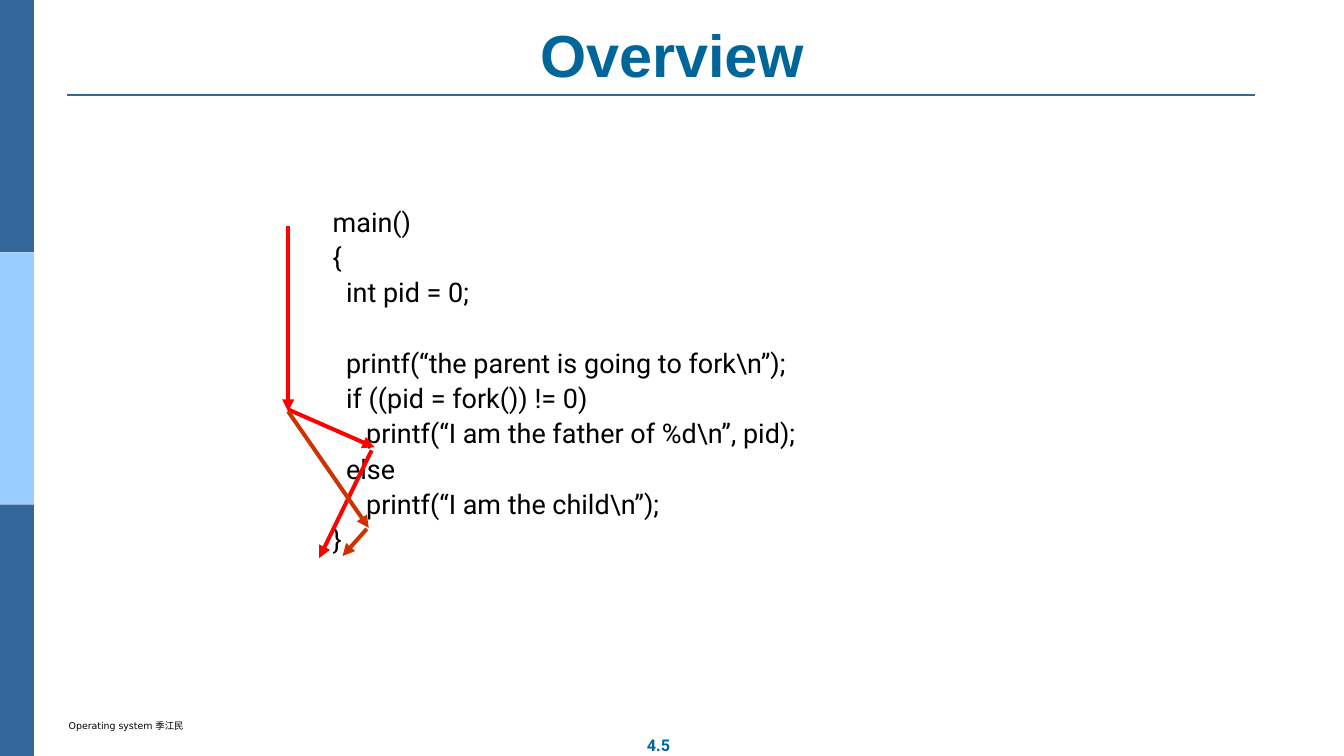
from dataclasses import dataclass

from lxml import etree
from pptx import Presentation
from pptx.dml.color import RGBColor
from pptx.enum.shapes import MSO_CONNECTOR, MSO_SHAPE
from pptx.enum.text import MSO_ANCHOR, PP_ALIGN
from pptx.oxml.ns import qn
from pptx.slide import Slide
from pptx.util import Emu, Pt

RECTANGLE = MSO_SHAPE.RECTANGLE
STRAIGHT = MSO_CONNECTOR.STRAIGHT
LEFT, CENTER = PP_ALIGN.LEFT, PP_ALIGN.CENTER
TOP, BOTTOM = MSO_ANCHOR.TOP, MSO_ANCHOR.BOTTOM
EMU_PER_PX = 9144
SLIDE_WIDTH, SLIDE_HEIGHT = 1385, 779
BAND_WIDTH, BAND_HEIGHT = 35, 260


@dataclass(frozen=True)
class Theme:
    navy: str = "336699"
    sky: str = "99CCFF"
    teal: str = "006699"
    black: str = "000000"
    parent_red: str = "FF0000"
    child_rust: str = "CC3300"
    title_size: float = 44
    code_size: float = 20
    number_size: float = 12
    footer_size: float = 7
    rule_width: float = 1.5
    arrow_width: float = 3
    code_spacing: float = 0.8
    code_gap: float = 7
    code_pitch: float = 26


THEME = Theme()


@dataclass(frozen=True)
class Label:
    lines: tuple[str, ...]
    left: int
    top: int
    width: int
    height: int
    font: str
    size: float
    color: str
    bold: bool = False
    align: PP_ALIGN = LEFT
    anchor: MSO_ANCHOR = TOP
    inset: tuple[int, int] = (10, 5)
    wrap: bool = True
    spacing: float = 1.0
    gap: float = 0
    pitch: float = 0


@dataclass(frozen=True)
class Line:
    start: tuple[int, int]
    end: tuple[int, int]
    color: str
    width: float = THEME.arrow_width
    arrow: bool = True


CODE = (
    "main()",
    "{",
    "  int pid = 0;",
    "",
    "  printf(“the parent is going to fork\\n”);",
    "  if ((pid = fork()) != 0)",
    "     printf(“I am the father of %d\\n”, pid);",
    "  else",
    "     printf(“I am the child\\n”);",
    "}",
)

LABELS = (
    Label(("4.5",), 649, 752, 59, 33, "Roboto", THEME.number_size, THEME.teal,
          bold=True, align=CENTER, inset=(12, 6), wrap=False),
    Label(("Operating system 季江民",), 61, 737, 286, 22, "DejaVu Sans",
          THEME.footer_size, THEME.black),
    Label(("Overview",), 69, 32, 1247, 66, "Arial", THEME.title_size, THEME.teal,
          bold=True, align=CENTER, anchor=BOTTOM, inset=(12, 6)),
    Label(CODE, 333, 213, 518, 393, "Roboto", THEME.code_size, THEME.black,
          spacing=THEME.code_spacing, gap=THEME.code_gap, pitch=THEME.code_pitch),
)

TITLE_RULE = Line((69, 98), (1293, 98), THEME.navy, THEME.rule_width, arrow=False)

FLOW_ARROWS = (
    Line((297, 233), (297, 424), THEME.parent_red),
    Line((297, 422), (386, 461), THEME.parent_red),
    Line((383, 464), (329, 575), THEME.parent_red),
    Line((297, 424), (380, 544), THEME.child_rust),
    Line((378, 545), (353, 573), THEME.child_rust),
)


def px(length: int) -> Emu:
    return Emu(length * EMU_PER_PX)


def draw_bands(page: Slide, colors: tuple[str, ...]) -> None:
    for index, color in enumerate(colors):
        band = page.shapes.add_shape(
            RECTANGLE, px(0), px(index * BAND_HEIGHT), px(BAND_WIDTH), px(BAND_HEIGHT))
        band.shadow.inherit = False
        band.fill.solid()
        band.fill.fore_color.rgb = RGBColor.from_string(color)
        band.line.fill.background()


def draw_line(page: Slide, line: Line) -> None:
    connector = page.shapes.add_connector(
        STRAIGHT, *map(px, line.start), *map(px, line.end))
    connector.line.color.rgb = RGBColor.from_string(line.color)
    connector.line.width = Pt(line.width)
    if line.arrow:
        outline = connector.line._get_or_add_ln()
        etree.SubElement(outline, qn("a:tailEnd"), type="triangle")
    etree.SubElement(connector._element.spPr, qn("a:effectLst"))


def draw_label(page: Slide, label: Label) -> None:
    box = page.shapes.add_textbox(
        px(label.left), px(label.top), px(label.width), px(label.height))
    frame = box.text_frame
    frame.word_wrap = label.wrap
    frame.vertical_anchor = label.anchor
    frame.margin_left = frame.margin_right = px(label.inset[0])
    frame.margin_top = frame.margin_bottom = px(label.inset[1])
    skipped = 0
    for index, text in enumerate(label.lines):
        if not text:
            skipped += 1
            continue
        para = frame.add_paragraph() if index else frame.paragraphs[0]
        para.alignment = label.align
        para.line_spacing = label.spacing
        if index:
            para.space_before = Pt(label.gap + skipped * label.pitch)
        skipped = 0
        span = para.add_run()
        span.text = text
        span.font.name = label.font
        span.font.size = Pt(label.size)
        span.font.bold = label.bold
        span.font.color.rgb = RGBColor.from_string(label.color)


def main() -> None:
    deck = Presentation()
    deck.slide_width, deck.slide_height = px(SLIDE_WIDTH), px(SLIDE_HEIGHT)
    page = deck.slides.add_slide(deck.slide_layouts[6])
    draw_bands(page, (THEME.navy, THEME.sky, THEME.navy))
    draw_line(page, TITLE_RULE)
    for label in LABELS:
        draw_label(page, label)
    for arrow in FLOW_ARROWS:
        draw_line(page, arrow)
    deck.save("out.pptx")


if __name__ == "__main__":
    main()
